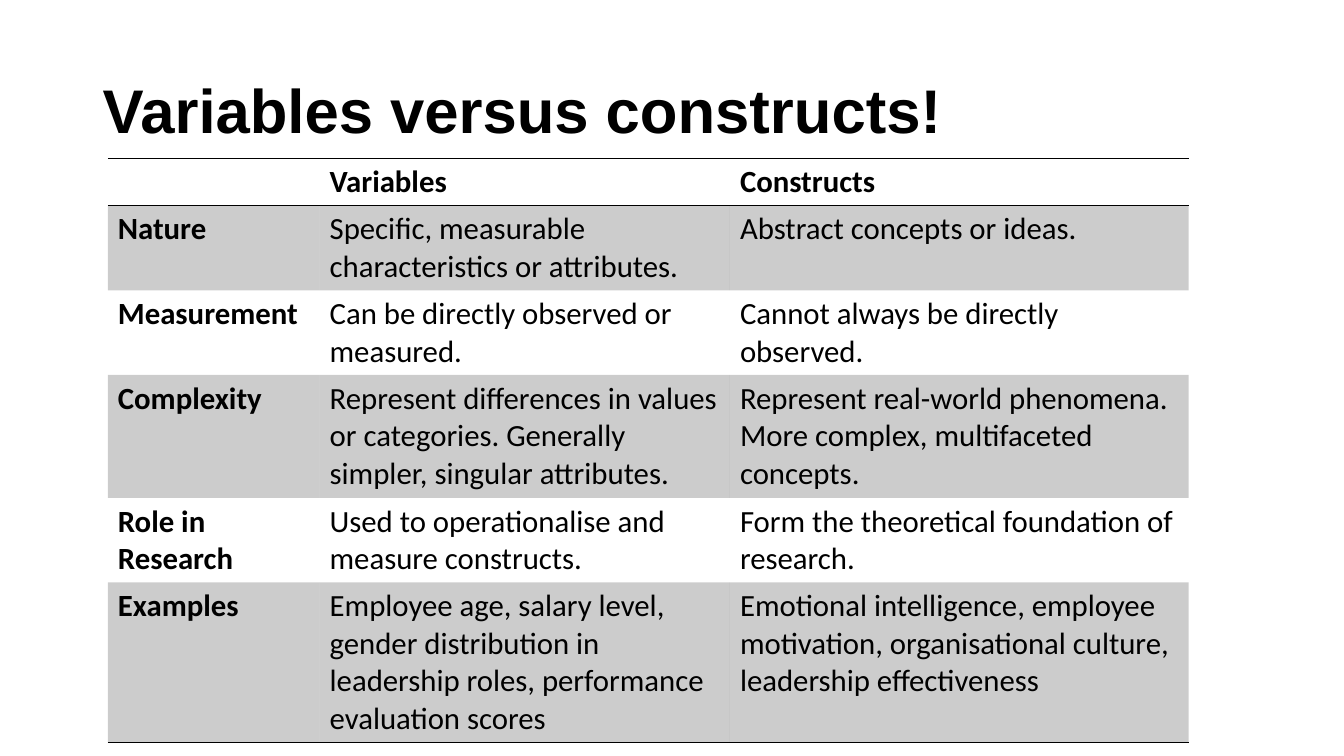
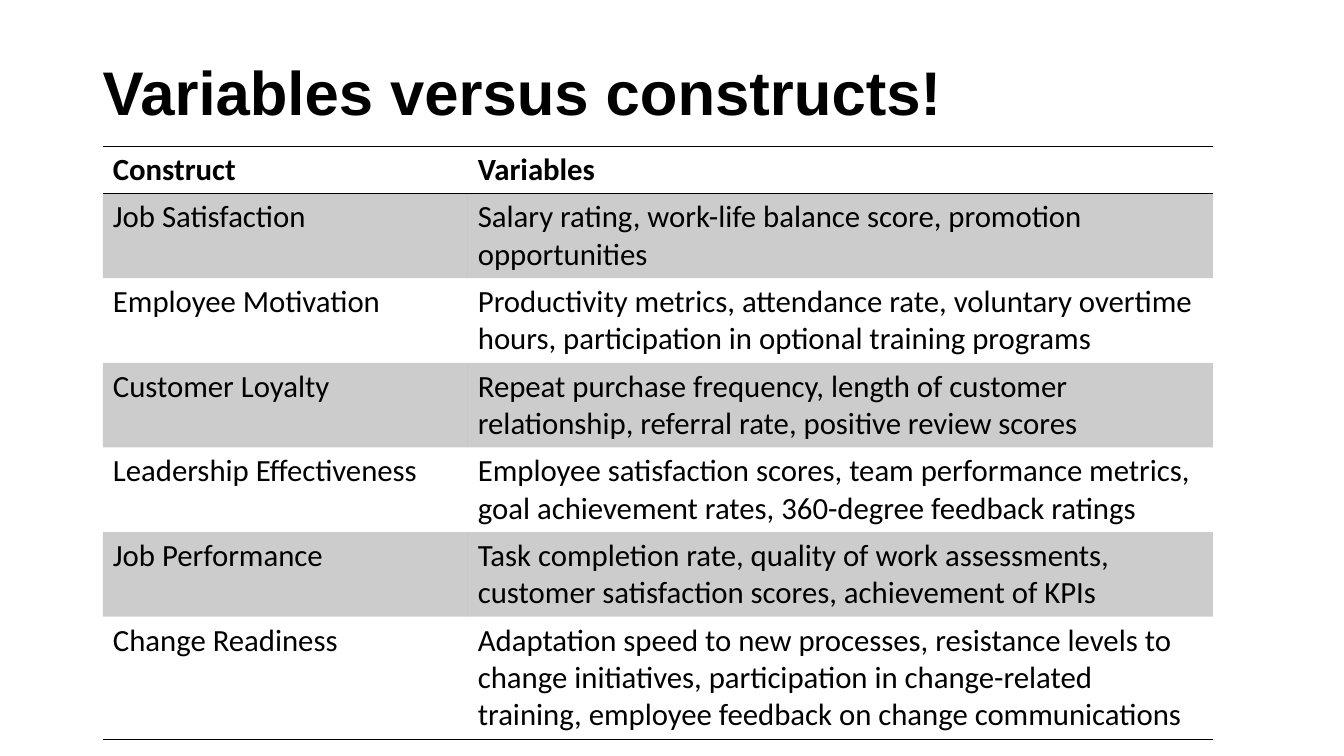
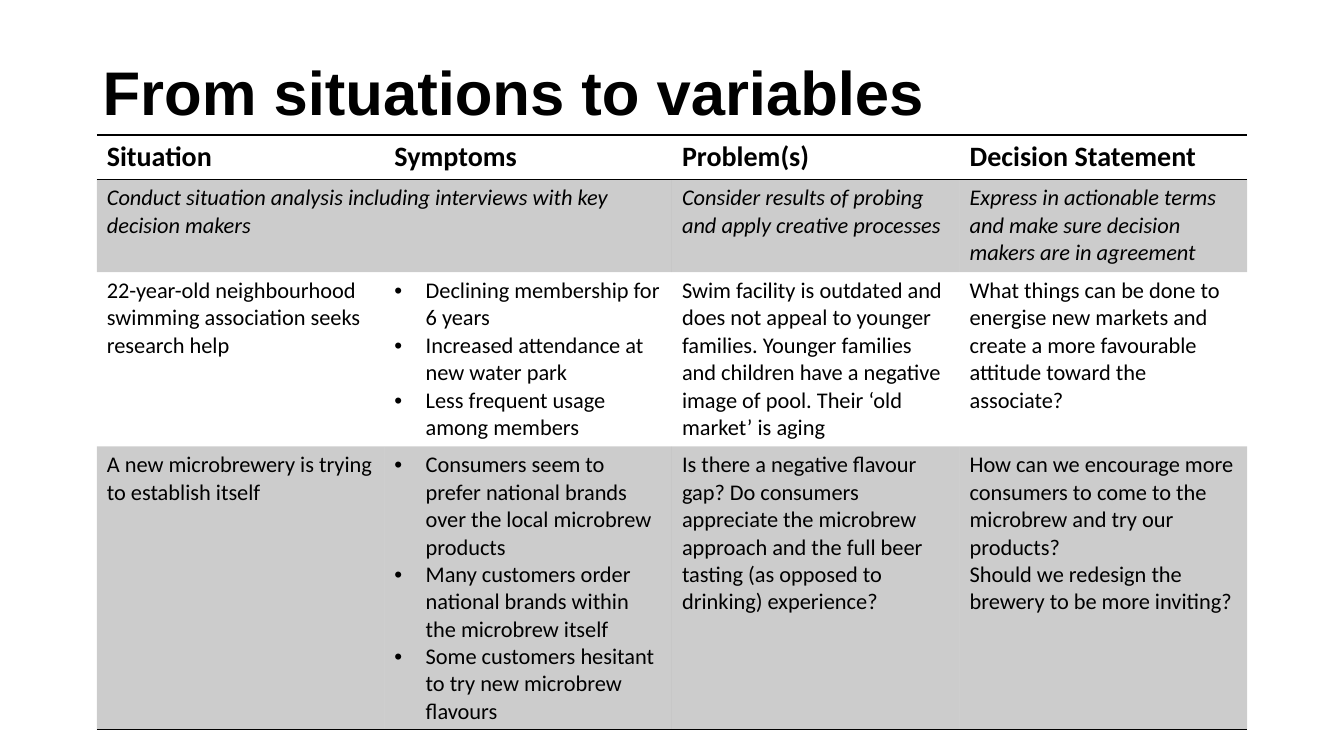
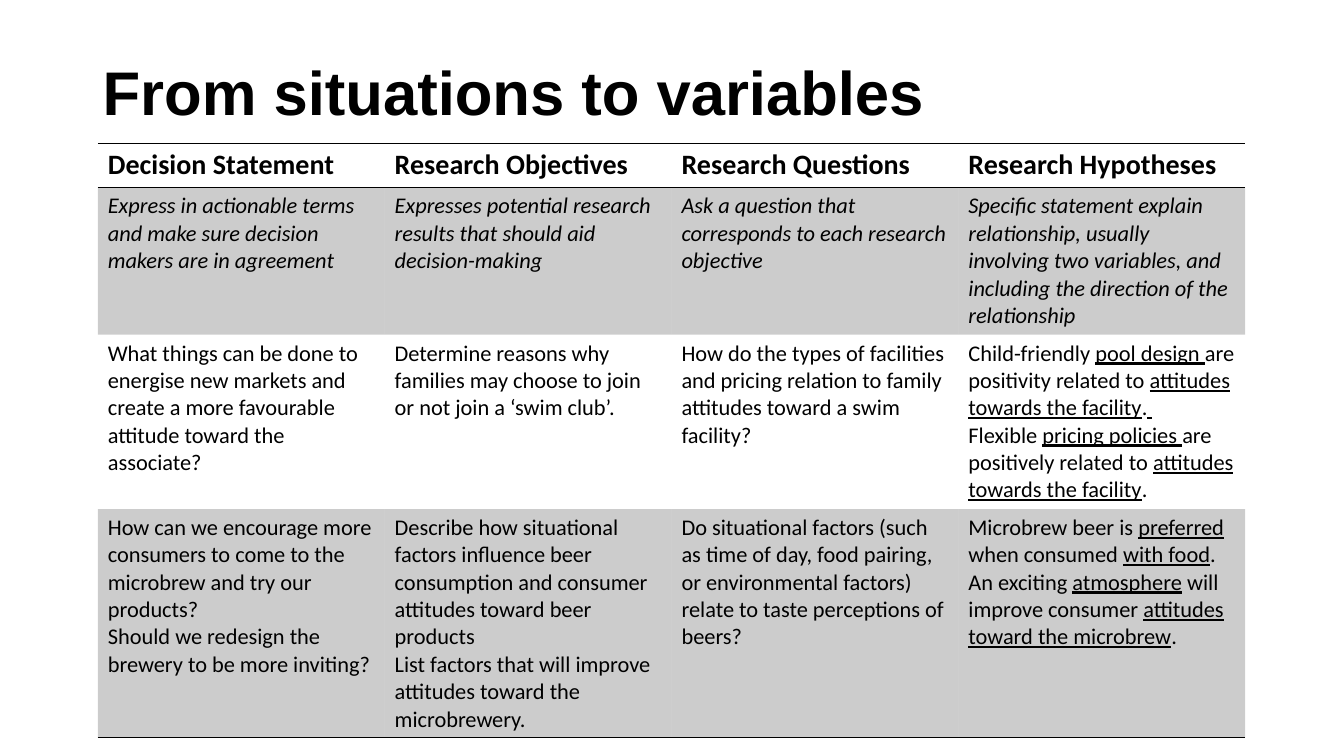
from lxml import etree
from pptx import Presentation
from pptx.dml.color import RGBColor
from pptx.enum.text import MSO_ANCHOR
from pptx.oxml.ns import qn
from pptx.util import Inches, Pt

# Shared look
BLACK = "000000"
BAND_ALPHA = 20
TITLE_FONT, BODY_FONT = "Arial", "Calibri"
TITLE_SIZE = 44
PLAIN_TABLE_STYLE = "{2D5ABB26-0587-4C30-8999-92F81FD0307C}"
BULLET = "• "
BULLET_INDENT = 0.31

# Text used on two slides
AGREEMENT = "Express in actionable terms and make sure decision makers are in agreement"
SWIM_DECISION = ("What things can be done to energise new markets and create "
                 "a more favourable attitude toward the associate?")
BREWERY_DECISION = ("How can we encourage more consumers to come to the microbrew "
                    "and try our products?\n"
                    "Should we redesign the brewery to be more inviting?")

NATURE_ROWS = [
    ["", "Variables", "Constructs"],
    ["Nature", "Specific, measurable characteristics or attributes.",
     "Abstract concepts or ideas."],
    ["Measurement", "Can be directly observed or measured.",
     "Cannot always be directly observed."],
    ["Complexity",
     "Represent differences in values or categories. Generally simpler, singular attributes.",
     "Represent real-world phenomena. More complex, multifaceted concepts."],
    ["Role in Research", "Used to operationalise and measure constructs.",
     "Form the theoretical foundation of research."],
    ["Examples",
     "Employee age, salary level, gender distribution in leadership roles, "
     "performance evaluation scores",
     "Emotional intelligence, employee motivation, organisational culture, "
     "leadership effectiveness"],
]

CONSTRUCT_ROWS = [
    ["Construct", "Variables"],
    ["Job Satisfaction", "Salary rating, work-life balance score, promotion opportunities"],
    ["Employee Motivation",
     "Productivity metrics, attendance rate, voluntary overtime hours, "
     "participation in optional training programs"],
    ["Customer Loyalty",
     "Repeat purchase frequency, length of customer relationship, referral rate, "
     "positive review scores"],
    ["Leadership Effectiveness",
     "Employee satisfaction scores, team performance metrics, goal achievement rates, "
     "360-degree feedback ratings"],
    ["Job Performance",
     "Task completion rate, quality of work assessments, customer satisfaction scores, "
     "achievement of KPIs"],
    ["Change Readiness",
     "Adaptation speed to new processes, resistance levels to change initiatives, "
     "participation in change-related training, employee feedback on change communications"],
]

# None joins a cell to the one on its left
SITUATION_ROWS = [
    ["Situation", "Symptoms", "Problem(s)", "Decision Statement"],
    ["Conduct situation analysis including interviews with key decision makers", None,
     "Consider results of probing and apply creative processes", AGREEMENT],
    ["22-year-old neighbourhood swimming association seeks research help",
     "• Declining membership for 6 years\n"
     "• Increased attendance at new water park\n"
     "• Less frequent usage among members",
     "Swim facility is outdated and does not appeal to younger families. Younger families "
     "and children have a negative image of pool. Their ‘old market’ is aging",
     SWIM_DECISION],
    ["A new microbrewery is trying to establish itself",
     "• Consumers seem to prefer national brands over the local microbrew products\n"
     "• Many customers order national brands within the microbrew itself\n"
     "• Some customers hesitant to try new microbrew flavours",
     "Is there a negative flavour gap? Do consumers appreciate the microbrew approach "
     "and the full beer tasting (as opposed to drinking) experience?",
     BREWERY_DECISION],
]

# Underscores enclose underlined words
HYPOTHESIS_ROWS = [
    ["Decision Statement", "Research Objectives", "Research Questions", "Research Hypotheses"],
    [AGREEMENT,
     "Expresses potential research results that should aid decision-making",
     "Ask a question that corresponds to each research objective",
     "Specific statement explain relationship, usually involving two variables, "
     "and including the direction of the relationship"],
    [SWIM_DECISION,
     "Determine reasons why families may choose to join or not join a ‘swim club’.",
     "How do the types of facilities and pricing relation to family attitudes "
     "toward a swim facility?",
     "Child-friendly _pool design _are positivity related to "
     "_attitudes towards the facility_._ _\n"
     "Flexible _pricing policies _are positively related to "
     "_attitudes towards the facility_."],
    [BREWERY_DECISION,
     "Describe how situational factors influence beer consumption and consumer attitudes "
     "toward beer products\n"
     "List factors that will improve attitudes toward the microbrewery.",
     "Do situational factors (such as time of day, food pairing, or environmental factors) "
     "relate to taste perceptions of beers?",
     "Microbrew beer is _preferred_ when consumed _with food_.\n"
     "An exciting _atmosphere_ will improve consumer _attitudes toward the microbrew_."],
]


def color(value):
    return RGBColor.from_string(value)


def add_span(para, text, font, size, bold=False, italic=False, underline=False):
    span = para.add_run()
    span.text = text
    span.font.name, span.font.size = font, Pt(size)
    span.font.bold, span.font.italic = bold, italic
    span.font.underline = underline
    span.font.color.rgb = color(BLACK)


def add_title(page, text, top=0.22):
    box = page.shapes.add_textbox(Inches(0.92), Inches(top), Inches(11.5), Inches(1.45))
    frame = box.text_frame
    frame.word_wrap = True
    frame.vertical_anchor = MSO_ANCHOR.MIDDLE
    para = frame.paragraphs[0]
    para.line_spacing = 0.9
    add_span(para, text, TITLE_FONT, TITLE_SIZE, bold=True)


def set_bullet(para):
    props = para._p.get_or_add_pPr()
    props.set("marL", str(Inches(BULLET_INDENT)))
    props.set("indent", str(-Inches(BULLET_INDENT)))
    etree.SubElement(props, qn("a:buFont"), typeface="Arial")
    etree.SubElement(props, qn("a:buChar"), char=BULLET.strip())


def fill_cell(cell, banded):
    if not banded:
        cell.fill.background()
        return
    cell.fill.solid()
    cell.fill.fore_color.rgb = color(BLACK)
    tint = cell._tc.tcPr.find(".//" + qn("a:srgbClr"))
    etree.SubElement(tint, qn("a:alpha"), val=str(BAND_ALPHA * 1000))


def rule_cell(cell, edges):
    """Draw 1 pt rules; edges holds T, B or both, in that order."""
    props = cell._tc.get_or_add_tcPr()
    for position, edge in enumerate(edges):
        line = etree.Element(qn("a:ln" + edge), w=str(Pt(1)))
        fill = etree.SubElement(line, qn("a:solidFill"))
        etree.SubElement(fill, qn("a:srgbClr"), val=BLACK)
        props.insert(position, line)


def write_cell(cell, text, **style):
    frame = cell.text_frame
    for number, line in enumerate(text.split("\n")):
        para = frame.add_paragraph() if number else frame.paragraphs[0]
        if line.startswith(BULLET):
            set_bullet(para)
        for part, words in enumerate(line.removeprefix(BULLET).split("_")):
            if words:
                add_span(para, words, BODY_FONT, underline=part % 2 == 1, **style)


def add_ruled_table(page, left, top, widths, heights, rows, head_size=22, body_size=22,
                    bold_labels=False, italic_guide=False):
    holder = page.shapes.add_table(len(rows), len(widths), Inches(left), Inches(top),
                                   Inches(sum(widths)), Inches(sum(heights)))
    table = holder.table
    table.horz_banding = False
    table._tbl.tblPr.find(qn("a:tableStyleId")).text = PLAIN_TABLE_STYLE
    for column, width in zip(table.columns, widths):
        column.width = Inches(width)
    for row, height in zip(table.rows, heights):
        row.height = Inches(height)

    for r, texts in enumerate(rows):
        head, last = r == 0, r == len(rows) - 1
        for c, text in enumerate(texts):
            cell = table.cell(r, c)
            fill_cell(cell, banded=r % 2 == 1)
            rule_cell(cell, "TB" if head else "B" if last else "")
            if text is None:
                table.cell(r, c - 1).merge(cell)
                continue
            write_cell(cell, text, size=head_size if head else body_size,
                       bold=head or (bold_labels and c == 0),
                       italic=italic_guide and r == 1)


def main():
    deck = Presentation()
    deck.slide_width, deck.slide_height = Inches(13.33), Inches(7.5)
    pages = [deck.slides.add_slide(deck.slide_layouts[6]) for _ in range(4)]

    # Variables versus constructs
    add_title(pages[0], "Variables versus constructs!", top=0.4)
    add_ruled_table(pages[0], 1.07, 1.57, [2.1, 4.07, 4.55],
                    [0.47, 0.84, 0.84, 1.22, 0.84, 1.59], NATURE_ROWS, bold_labels=True)

    add_title(pages[1], "Variables versus constructs!")
    add_ruled_table(pages[1], 1.02, 1.45, [3.62, 7.39],
                    [0.47] + [0.84] * 5 + [1.22], CONSTRUCT_ROWS)

    # From situations to variables
    steps = {"head_size": 20, "body_size": 16, "italic_guide": True}
    add_ruled_table(pages[2], 0.96, 1.34, [11.41 / 4] * 4,
                    [0.44, 0.92, 1.73, 2.81], SITUATION_ROWS, **steps)
    add_ruled_table(pages[3], 0.97, 1.42, [11.38 / 4] * 4,
                    [0.44, 1.46, 1.73, 2.27], HYPOTHESIS_ROWS, **steps)
    for page in pages[2:]:
        add_title(page, "From situations to variables")

    deck.save("out.pptx")


if __name__ == "__main__":
    main()
